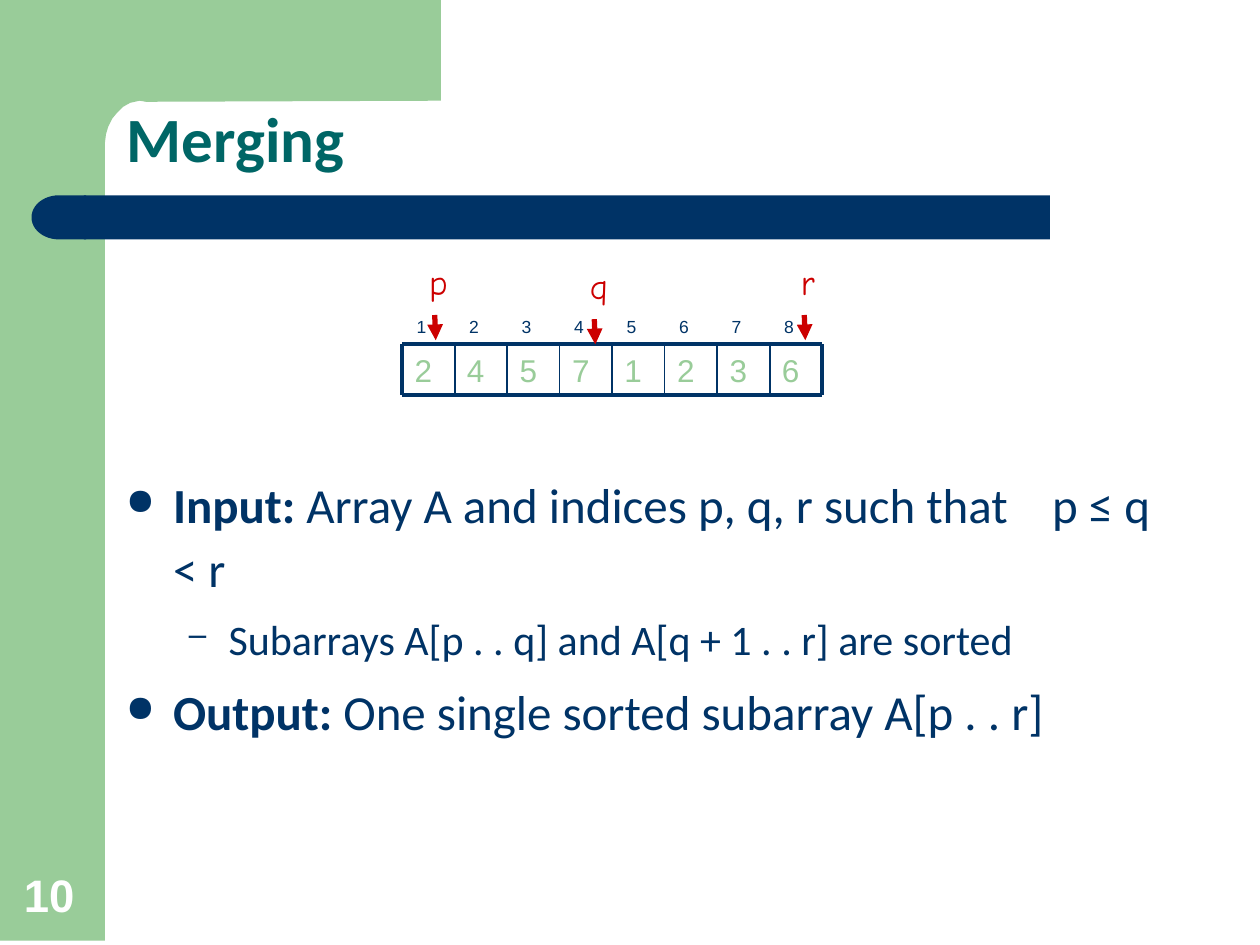
from dataclasses import dataclass

from lxml.etree import SubElement
from pptx import Presentation
from pptx.dml.color import RGBColor
from pptx.enum.shapes import MSO_CONNECTOR as Connector, MSO_SHAPE as Preset
from pptx.enum.text import MSO_ANCHOR as Anchor, MSO_AUTO_SIZE as AutoSize
from pptx.oxml.ns import qn
from pptx.util import Pt

SCALE = 7620
COLORS = {"green": "99CC99", "navy": "003366", "teal": "006666",
          "red": "CC0000", "white": "FFFFFF"}
VALUES = (2, 4, 5, 7, 1, 2, 3, 6)
ARRAY_LEFT, ARRAY_TOP, CELL_WIDTH, CELL_HEIGHT = 383, 328, 50, 48
CORNER = ((420, -4), (420, 96), (139, 97), (133, 96), (124, 98), (117, 102),
          (112, 107), (107, 113), (103, 121), (101, 128), (100, 136),
          (100, 150), (60, 150), (60, -4))


@dataclass(frozen=True)
class Pointer:
    label: str
    left: int
    top: int
    width: int
    arrow_left: int


@dataclass(frozen=True)
class Span:
    text: str
    bold: bool = False
    spacing: int = 0


@dataclass(frozen=True)
class Bullet:
    spans: tuple[Span, ...]
    size: int = 28
    symbol: str = "●"
    margin: int = 45
    hanging: int = 45
    before: int = 7
    level: int = 0


POINTERS = (Pointer("p", 397, 242, 42, 414),
            Pointer("r", 751, 242, 37, 766),
            Pointer("q", 550, 246, 41, 566))
BULLETS = (
    Bullet((Span("Input: ", bold=True),
            Span("Array A and indices p, q, r such that"),
            Span(" ", spacing=1900), Span("p ≤ q < r")), before=0),
    Bullet((Span("Subarrays A[p . . q] and A[q + 1 . . r] are sorted"),),
           size=24, symbol="–", margin=98, hanging=38, before=6, level=1),
    Bullet((Span("Output: ", bold=True),
            Span("One single sorted subarray A[p . . r]"))),
)


def px(*lengths: int) -> list[int]:
    """Turn pixel lengths into EMU."""
    return [length * SCALE for length in lengths]


def rgb(name: str) -> RGBColor:
    """Look up a named colour."""
    return RGBColor.from_string(COLORS[name])


def paint(shape, color: str) -> None:
    """Give a shape a flat fill without outline or shadow."""
    shape.shadow.inherit = False
    shape.fill.solid()
    shape.fill.fore_color.rgb = rgb(color)
    shape.line.fill.background()


def add_block(page, preset, area: tuple[int, ...], color: str):
    """Draw a filled preset shape."""
    shape = page.shapes.add_shape(preset, *px(*area))
    paint(shape, color)
    return shape


def add_line(page, start: tuple[int, int], end: tuple[int, int], color: str,
             width: float, arrow: bool = False) -> None:
    """Draw a straight line, optionally ending in an arrowhead."""
    line = page.shapes.add_connector(Connector.STRAIGHT, *px(*start, *end))
    line.line.color.rgb = rgb(color)
    line.line.width = Pt(width)
    if arrow:
        SubElement(line.line._get_or_add_ln(), qn("a:tailEnd"), type="triangle")
    SubElement(line._element.spPr, qn("a:effectLst"))


def format_font(font, name: str, size: int, color: str, bold: bool) -> None:
    """Set the typeface, size, colour and weight of a font."""
    font.name, font.size, font.bold = name, Pt(size), bold
    font.color.rgb = rgb(color)


def add_text(page, text: str, area: tuple[int, ...], *, size: int, color: str,
             name: str = "Arial", bold: bool = False, anchor=Anchor.TOP,
             wrap: bool = True, grow: bool = False, spacing: float = 1.0):
    """Place a one-paragraph text box."""
    box = page.shapes.add_textbox(*px(*area))
    frame = box.text_frame
    frame.word_wrap, frame.vertical_anchor = wrap, anchor
    frame.auto_size = AutoSize.SHAPE_TO_FIT_TEXT if grow else AutoSize.NONE
    para = frame.paragraphs[0]
    para.line_spacing = spacing
    span = para.add_run()
    span.text = text
    format_font(span.font, name, size, color, bold)
    return box


def add_bullet(para, bullet: Bullet) -> None:
    """Fill a paragraph with a bulleted line of formatted spans."""
    margin, indent = px(bullet.margin, -bullet.hanging)
    props = para._p.get_or_add_pPr()
    props.set("marL", str(margin))
    props.set("indent", str(indent))
    color = SubElement(props, qn("a:buClr"))
    SubElement(color, qn("a:srgbClr"), val=COLORS["navy"])
    SubElement(props, qn("a:buSzPct"), val="75000")
    SubElement(props, qn("a:buChar"), char=bullet.symbol)
    para.level = bullet.level
    para.line_spacing, para.space_before = 1.1, Pt(bullet.before)
    for part in bullet.spans:
        span = para.add_run()
        span.text = part.text
        format_font(span.font, "Calibri", bullet.size, "navy", part.bold)
        if part.spacing:
            span._r.get_or_add_rPr().set("spc", str(part.spacing))


def add_frame(page) -> None:
    """Draw the green margin, its rounded corner and the navy bar."""
    add_block(page, Preset.RECTANGLE, (0, -4, 100, 900), "green")
    builder = page.shapes.build_freeform(*CORNER[0], scale=SCALE)
    builder.add_line_segments(CORNER[1:], close=True)
    paint(builder.convert_to_shape(), "green")
    bar = add_block(page, Preset.ROUNDED_RECTANGLE, (80, 186, 920, 42), "navy")
    bar.adjustments[0] = 0
    cap = add_block(page, Preset.FLOWCHART_DELAY, (30, 186, 52, 42), "navy")
    cap._element.spPr.get_or_add_xfrm().set("flipH", "1")


def add_array(page) -> None:
    """Draw the indexed array, its grid and its pointers."""
    right = ARRAY_LEFT + CELL_WIDTH * len(VALUES)
    bottom = ARRAY_TOP + CELL_HEIGHT
    for index, value in enumerate(VALUES):
        left = ARRAY_LEFT + CELL_WIDTH * index
        add_text(page, str(index + 1), (left + 2, 295, 30, 32), size=10,
                 color="navy", grow=True)
        add_text(page, str(value), (left, ARRAY_TOP, CELL_WIDTH, CELL_HEIGHT),
                 size=18, color="green",
                 anchor=Anchor.TOP if index else Anchor.MIDDLE)
    for top in (ARRAY_TOP, bottom):
        add_line(page, (ARRAY_LEFT, top), (right, top), "navy", 2.25)
    for left in range(ARRAY_LEFT, right + 1, CELL_WIDTH):
        width = 2.25 if left in (ARRAY_LEFT, right) else 1
        add_line(page, (left, ARRAY_TOP), (left, bottom), "navy", width)
    for pointer in POINTERS:
        start = (pointer.arrow_left, pointer.top + 58)
        end = (start[0] + 1, start[1] + 24)
        add_line(page, start, end, "red", 3, arrow=True)
        add_text(page, pointer.label,
                 (pointer.left, pointer.top, pointer.width, 53), size=20,
                 color="red", name="Comic Neue", wrap=False, grow=True)


def main() -> None:
    """Build the merging slide and save it."""
    deck = Presentation()
    deck.slide_width, deck.slide_height = px(1200, 900)
    page = deck.slides.add_slide(deck.slide_layouts[6])
    add_frame(page)
    add_text(page, "Merging", (109, 43, 1021, 131), size=36, color="teal",
             name="Calibri", bold=True, anchor=Anchor.BOTTOM, spacing=0.9)
    body = page.shapes.add_textbox(*px(108, 440, 1015, 352)).text_frame
    body.word_wrap = True
    for index, bullet in enumerate(BULLETS):
        para = body.add_paragraph() if index else body.paragraphs[0]
        add_bullet(para, bullet)
    add_array(page)
    add_text(page, "10", (11, 820, 77, 64), size=26, color="white", bold=True,
             anchor=Anchor.BOTTOM)
    deck.save("out.pptx")


if __name__ == "__main__":
    main()
